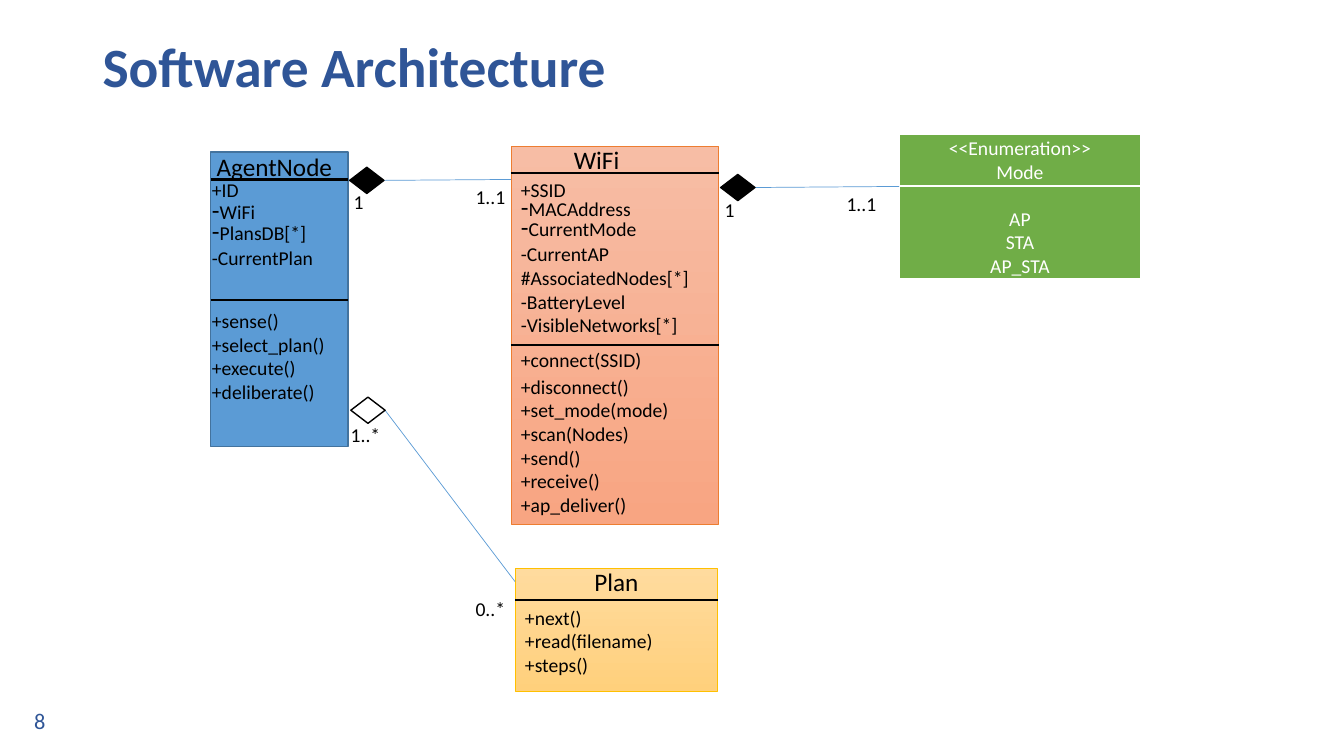
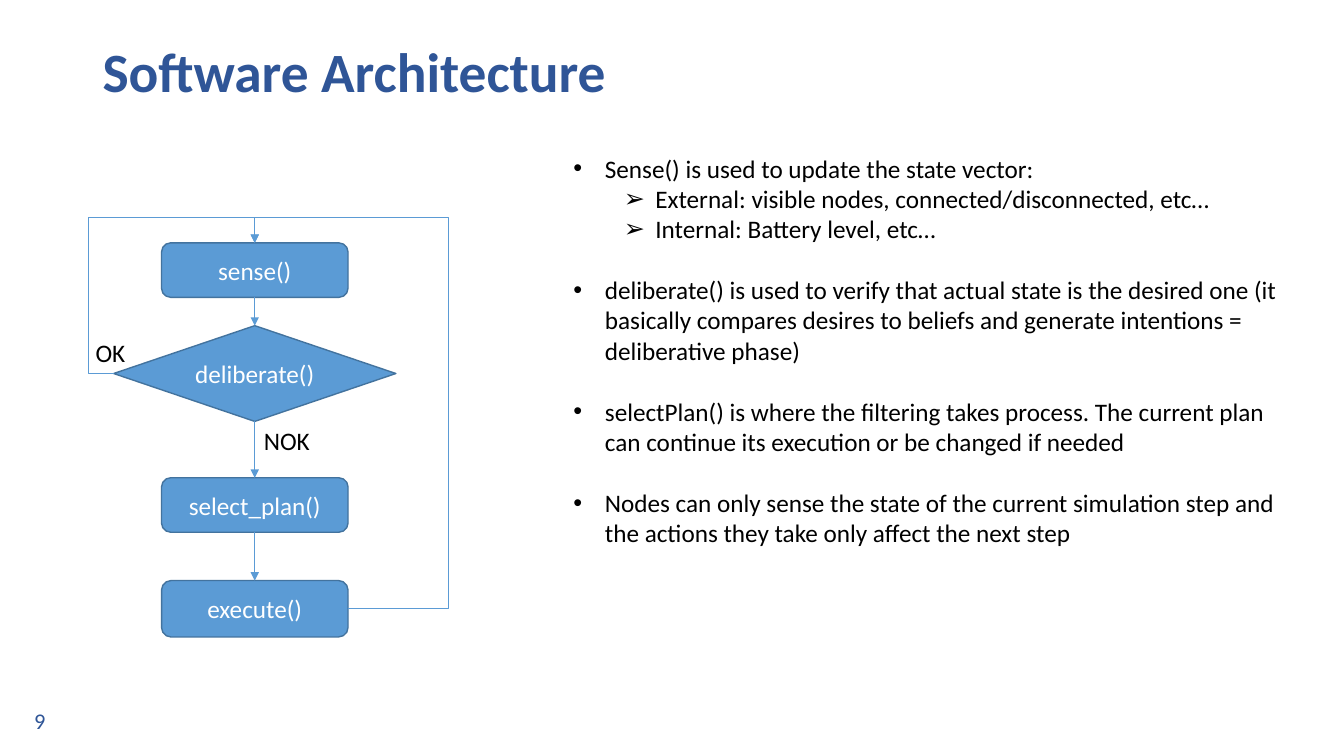
from lxml import etree
from pptx import Presentation
from pptx.dml.color import RGBColor
from pptx.enum.shapes import MSO_CONNECTOR, MSO_SHAPE
from pptx.enum.text import MSO_ANCHOR, PP_ALIGN
from pptx.oxml.ns import qn
from pptx.util import Pt

RECT, ROUND = MSO_SHAPE.RECTANGLE, MSO_SHAPE.ROUNDED_RECTANGLE
RHOMBUS, DECISION = MSO_SHAPE.DIAMOND, MSO_SHAPE.FLOWCHART_DECISION
STRAIGHT = MSO_CONNECTOR.STRAIGHT
LEFT, CENTER = PP_ALIGN.LEFT, PP_ALIGN.CENTER
TOP, MIDDLE = MSO_ANCHOR.TOP, MSO_ANCHOR.MIDDLE

FONT = "Calibri"
NAVY = RGBColor(0x2F, 0x55, 0x97)
BLACK = RGBColor(0, 0, 0)
WHITE = RGBColor(0xFF, 0xFF, 0xFF)
BLUE = RGBColor(0x5B, 0x9B, 0xD5)
BLUE_EDGE = RGBColor(0x43, 0x73, 0x9E)
ORANGE = RGBColor(0xED, 0x7D, 0x31)
ORANGE_FADE = (RGBColor(0xF7, 0xBD, 0xA5), RGBColor(0xF8, 0xA5, 0x82))
GOLD = RGBColor(0xFF, 0xC0, 0x00)
GOLD_FADE = (RGBColor(0xFF, 0xDB, 0x9E), RGBColor(0xFF, 0xD0, 0x7C))
GREEN = RGBColor(0x70, 0xAD, 0x47)

# Content: class diagram; a (dash, name) pair is a row with a larger dash
TITLE = "Software Architecture"
CLASSES = [
    dict(box=(150.5, 108.7, 98, 210.2), fill=BLUE, edge=BLUE_EDGE, edge_width=1,
         name="AgentNode", name_at=(147.6, 104.4, 98), name_align=LEFT,
         text_x=144.3, dividers=[128.2, 214.6],
         rows=[(123.8, ["+ID"]),
               (135.4, [("-", "WiFi")]),
               (150.5, [("-", "PlansDB[*]"), "-CurrentPlan"]),
               (217.4, ["+sense()", "+select_plan()", "+execute()", "+deliberate()"])]),
    dict(box=(365, 104.4, 148.3, 270), fill=ORANGE_FADE, edge=ORANGE, edge_width=0.5,
         name="WiFi", name_at=(365, 99.4, 122.4), name_align=CENTER,
         text_x=365, dividers=[123.8, 246.2],
         rows=[(123.8, ["+SSID"]),
               (133.2, [("-", "MACAddress")]),
               (147.6, [("-", "CurrentMode")]),
               (169.2, ["-CurrentAP"]),
               (186.5, ["#AssociatedNodes[*]", "-BatteryLevel", "-VisibleNetworks[*]"]),
               (244.8, ["+connect(SSID)"]),
               (264.2, ["+disconnect()"]),
               (280.8, ["+set_mode(mode)"]),
               (298.1, ["+scan(Nodes)", "+send()", "+receive()", "+ap_deliver()"])]),
    dict(box=(367.9, 406.1, 144.7, 87.8), fill=GOLD_FADE, edge=GOLD, edge_width=0.5,
         name="Plan", name_at=(367.9, 401, 144.7), name_align=CENTER,
         text_x=367.9, dividers=[428.4],
         rows=[(429.1, ["+next()", "+read(filename)", "+steps()"])]),
]
ENUM_BOX = (642.2, 95.8, 172.8, 103.7)
ENUM_LINES = ["<<Enumeration>>", "Mode", "AP", "STA", "AP_STA"]
ENUM_DIVIDER = 133.2
# Diamond corner, diamond fill, line end, then (label, x, y) at both ends
ASSOCIATIONS = [
    ((249.8, 119.5), BLACK, (365, 128.2), [("1", 245.5, 131.8), ("1..1", 332.6, 128.2)]),
    ((250.6, 283.7), WHITE, (367.9, 415.4), [("1..*", 243.4, 298.8), ("0..*", 332.6, 422.6)]),
    ((514.8, 124.6), BLACK, (642.2, 133.2), [("1", 510.5, 137.5), ("1..1", 597.6, 133.2)]),
]
DIAMOND_W, DIAMOND_H = 24.5, 18.7

# Content: control loop as (label, shape, top, width, height)
AXIS = 182
STEPS = [
    ("sense()", ROUND, 173.5, 133.2, 38.9),
    ("deliberate()", RHOMBUS, 232.6, 201.6, 68.4),
    ("select_plan()", ROUND, 341.3, 133.2, 38.9),
    ("execute()", ROUND, 414.7, 133.2, 40.3),
]
LOOP_TOP, LOOP_LEFT, LOOP_RIGHT = 155.5, 63.4, 320.4
ANSWERS = [("NOK", 181.4, 300.2, 47.5), ("OK", 61.2, 237.6, 36)]
# (level, text)
NOTES = [
    (0, "Sense() is used to update the state vector:"),
    (1, "External: visible nodes, connected/disconnected, etc…"),
    (1, "Internal: Battery level, etc…"),
    (0, "deliberate() is used to verify that actual state is the desired one "
        "(it basically compares desires to beliefs and generate intentions = "
        "deliberative phase)"),
    (0, "selectPlan() is where the filtering takes process. The current plan "
        "can continue its execution or be changed if needed"),
    (0, "Nodes can only sense the state of the current simulation step and "
        "the actions they take only affect the next step"),
]
BULLETS = [("•", 22.5), ("➢", 58.5)]


def write(s, lines, size, color=BLACK, align=LEFT, anchor=TOP, bold=False, wrap=True):
    tf = s.text_frame
    tf.word_wrap = wrap
    tf.vertical_anchor = anchor
    for i, line in enumerate(lines):
        p = tf.add_paragraph() if i else tf.paragraphs[0]
        p.alignment = align
        parts = [(line, size)] if isinstance(line, str) else [(line[0], 18), (line[1], size)]
        for text, points in parts:
            r = p.add_run()
            r.text = text
            r.font.name, r.font.size, r.font.bold = FONT, Pt(points), bold
            r.font.color.rgb = color
    return tf


def add_text(slide, x, y, w, h, lines, size, **style):
    s = slide.shapes.add_textbox(Pt(x), Pt(y), Pt(w), Pt(h))
    return write(s, lines, size, **style)


def add_box(slide, kind, box, fill, edge, edge_width=1):
    s = slide.shapes.add_shape(kind, *map(Pt, box))
    s.shadow.inherit = False
    if isinstance(fill, RGBColor):
        s.fill.solid()
        s.fill.fore_color.rgb = fill
    else:
        s.fill.gradient()
        s.fill.gradient_angle = 270
        for stop, color in zip(s.fill.gradient_stops, fill):
            stop.color.rgb = color
    s.line.color.rgb = edge
    s.line.width = Pt(edge_width)
    return s


def style_line(s, color, width, arrow):
    s.line.color.rgb = color
    s.line.width = Pt(width)
    if arrow:
        etree.SubElement(s.line._get_or_add_ln(), qn("a:tailEnd"), type="triangle")


def add_line(slide, start, end, color=BLUE, width=0.5, arrow=False):
    s = slide.shapes.add_connector(STRAIGHT, *map(Pt, (*start, *end)))
    style_line(s, color, width, arrow)
    etree.SubElement(s._element.spPr, qn("a:effectLst"))


def add_route(slide, points):
    points = [(Pt(x), Pt(y)) for x, y in points]
    builder = slide.shapes.build_freeform(*points[0])
    builder.add_line_segments(points[1:], close=False)
    s = builder.convert_to_shape()
    s.shadow.inherit = False
    s.fill.background()
    style_line(s, BLUE, 0.5, True)


def new_slide(prs, number, title_height):
    slide = prs.slides.add_slide(prs.slide_layouts[6])
    add_text(slide, 17.3, 500.4, 216, 28.8, [str(number)], 16, color=NAVY, anchor=MIDDLE)
    tf = add_text(slide, 66.2, 28.8, 828, title_height, [TITLE], 39.6,
                  color=NAVY, anchor=MIDDLE, bold=True)
    tf.paragraphs[0].line_spacing = 0.9
    return slide


def class_diagram(slide):
    # Classes with their compartments
    for c in CLASSES:
        x, _, w, _ = c["box"]
        add_box(slide, RECT, c["box"], c["fill"], c["edge"], c["edge_width"])
        add_text(slide, *c["name_at"], 29, [c["name"]], 18, align=c["name_align"])
        for y in c["dividers"]:
            add_line(slide, (x, y), (x + w, y), BLACK, 1.5)
        for y, lines in c["rows"]:
            add_text(slide, c["text_x"], y, w, 7.2 + 17.1 * len(lines), lines, 14, wrap=False)

    # Enumeration
    s = add_box(slide, RECT, ENUM_BOX, GREEN, WHITE, 1.5)
    tf = write(s, ENUM_LINES, 14, color=WHITE, align=CENTER, anchor=MIDDLE)
    tf.paragraphs[2].space_before = Pt(17)
    x, _, w, _ = ENUM_BOX
    add_line(slide, (x, ENUM_DIVIDER), (x + w, ENUM_DIVIDER), WHITE, 1.5)

    # Associations
    for (x, y), fill, end, labels in ASSOCIATIONS:
        add_line(slide, (x + DIAMOND_W, y + DIAMOND_H / 2), end)
        add_box(slide, DECISION, (x, y, DIAMOND_W, DIAMOND_H), fill, BLACK)
        for label, label_x, label_y in labels:
            add_text(slide, label_x, label_y, 21.6 if len(label) == 1 else 36, 24.3,
                     [label], 14, wrap=False)


def control_loop(slide):
    # Steps and the arrows between them
    for label, kind, y, w, h in STEPS:
        s = add_box(slide, kind, (AXIS - w / 2, y, w, h), BLUE, BLUE_EDGE)
        write(s, [label], 18, color=WHITE, align=CENTER, anchor=MIDDLE)
    for (_, _, y, _, h), below in zip(STEPS, STEPS[1:]):
        add_line(slide, (AXIS, y + h), (AXIS, below[2]), arrow=True)

    # Ways back to the first step
    for step, side, lane in ((STEPS[1], -1, LOOP_LEFT), (STEPS[3], 1, LOOP_RIGHT)):
        _, _, y, w, h = step
        middle = y + h / 2
        add_route(slide, [(AXIS + side * w / 2, middle), (lane, middle), (lane, LOOP_TOP),
                          (AXIS, LOOP_TOP), (AXIS, STEPS[0][2])])
    for label, x, y, w in ANSWERS:
        add_text(slide, x, y, w, 29, [label], 18, wrap=False)

    # Explanations
    tf = add_text(slide, 402.5, 105.8, 531.4, 290.9, [text for _, text in NOTES], 18)
    for i, (p, (level, _)) in enumerate(zip(tf.paragraphs, NOTES)):
        mark, indent = BULLETS[level]
        p.level = level
        if i and level == 0:
            p.space_before = Pt(22)
        pPr = p._p.get_or_add_pPr()
        pPr.set("marL", str(Pt(indent)))
        pPr.set("indent", str(-Pt(22.5)))
        etree.SubElement(pPr, qn("a:buFont"), typeface="Arial")
        etree.SubElement(pPr, qn("a:buChar"), char=mark)


def main():
    prs = Presentation()
    prs.slide_width, prs.slide_height = Pt(960), Pt(540)
    class_diagram(new_slide(prs, 8, 41.8))
    control_loop(new_slide(prs, 9, 49))
    prs.save("out.pptx")


if __name__ == "__main__":
    main()
